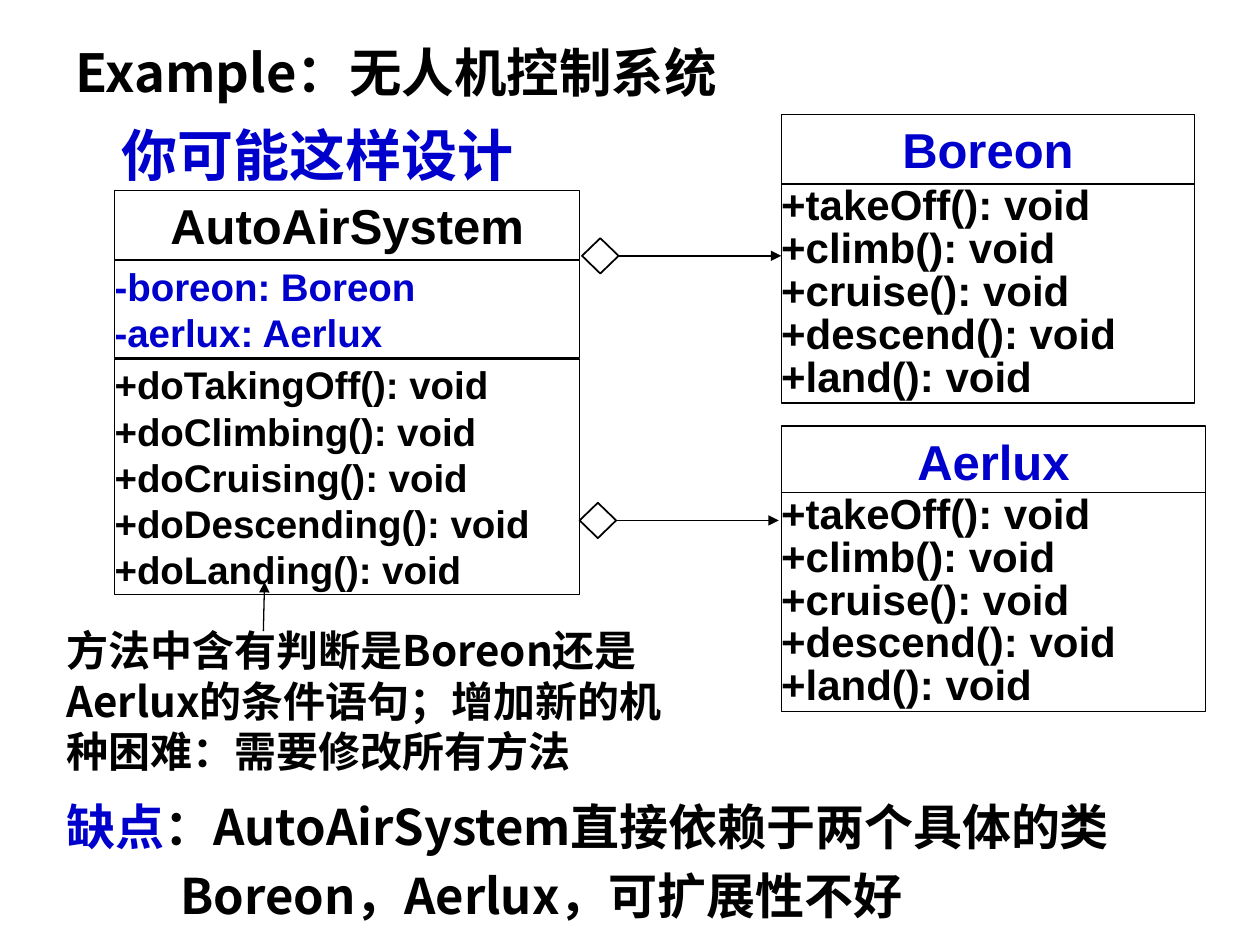
from lxml import etree
from pptx import Presentation
from pptx.dml.color import RGBColor
from pptx.enum.shapes import MSO_CONNECTOR, MSO_SHAPE
from pptx.enum.text import MSO_ANCHOR, PP_ALIGN
from pptx.oxml.ns import qn
from pptx.util import Pt

LEFT, CENTER, JUSTIFY = PP_ALIGN.LEFT, PP_ALIGN.CENTER, PP_ALIGN.JUSTIFY
TOP, MIDDLE = MSO_ANCHOR.TOP, MSO_ANCHOR.MIDDLE
RECTANGLE, DIAMOND = MSO_SHAPE.RECTANGLE, MSO_SHAPE.DIAMOND
STRAIGHT = MSO_CONNECTOR.STRAIGHT

THEME = {
    "black": RGBColor(0, 0, 0),
    "blue": RGBColor(0, 0, 0xCC),
    "white": RGBColor(255, 255, 255),
    "latin": "Arial",
    "chinese": "Noto Sans CJK SC",
    "title": 30, "subtitle": 32, "class": 28, "method": 24,
    "member": 22, "note": 24, "drawback": 28,
    "chinese_spacing": 1.2, "thin": 0.75, "medium": 1,
}

FLIGHT_METHODS = ["+takeOff(): void", "+climb(): void", "+cruise(): void",
                  "+descend(): void", "+land(): void"]
SYSTEM_FIELDS = ["-boreon: Boreon", "-aerlux: Aerlux"]
SYSTEM_METHODS = ["+doTakingOff(): void", "+doClimbing(): void", "+doCruising(): void",
                  "+doDescending(): void", "+doLanding(): void"]

# name, name colour, left, top, width, [(lines, size, colour, spacing, top, height)]
CLASSES = [
    ("Boreon", "blue", 446.4, 65.5, 236.2,
     [(FLIGHT_METHODS, "method", "black", 0.85, 105.1, 125.3)]),
    ("Aerlux", "blue", 446.4, 243.4, 242.6,
     [(FLIGHT_METHODS, "method", "black", 0.85, 281.5, 125.3)]),
    ("AutoAirSystem", "black", 65.5, 108.7, 265.7,
     [(SYSTEM_FIELDS, "member", "blue", 1, 149, 55.4),
      (SYSTEM_METHODS, "member", "black", 1, 205.2, 134.6)]),
]
NAME_HEIGHT = 39.6

# diamond left, line end, centre height
AGGREGATIONS = [(332.6, 446.4, 146.2), (331.2, 445, 297.4)]
DIAMOND_SIZE = (20.9, 20.2)
NOTE_ARROW = (150.5, 360.7, 151.2, 332.6)

# bounds, size, alignment, anchor, [(indent, space before, [(text, colour)])]
TEXTS = [
    ((36, 21.6, 397.4, 38.2), "title", LEFT, MIDDLE,
     [(0, 0, [("Example：无人机控制系统", "black")])]),
    ((48.2, 65.5, 266.4, 46.1), "subtitle", CENTER, TOP,
     [(0, 0, [("你可能这样设计", "blue")])]),
    ((31, 353.5, 362.9, 93.6), "note", LEFT, TOP,
     [(0, 0, [("方法中含有判断是Boreon还是Aerlux的条件语句；"
               "增加新的机种困难：需要修改所有方法", "black")])]),
    ((31, 451.4, 663.1, 80.6), "drawback", LEFT, TOP,
     [(0, 0, [("缺点", "blue"), ("：AutoAirSystem直接依赖于两个具体的类", "black")]),
      (65, 6, [("Boreon，Aerlux，可扩展性不好", "black")])]),
]


def set_frame(frame, anchor, side, vertical):
    """Set the wrapping, anchor and margins of a text frame."""
    frame.word_wrap = True
    frame.vertical_anchor = anchor
    frame.margin_left = frame.margin_right = Pt(side)
    frame.margin_top = frame.margin_bottom = Pt(vertical)


def style_span(span, font, size, color):
    """Give a run its typeface, size and colour."""
    span.font.name = font
    span.font.size = Pt(THEME[size])
    span.font.bold = True
    span.font.color.rgb = THEME[color]
    latin = span.font._element.find(qn("a:latin"))
    east_asian = etree.Element(qn("a:ea"), typeface=font)
    latin.addnext(east_asian)


def add_outline(page, kind, bounds, weight):
    """Add a white shape with a black outline."""
    box = page.shapes.add_shape(kind, *map(Pt, bounds))
    box.shadow.inherit = False
    box.fill.solid()
    box.fill.fore_color.rgb = THEME["white"]
    box.line.color.rgb = THEME["black"]
    box.line.width = Pt(THEME[weight])
    return box


def add_compartment(page, bounds, lines, size, color, alignment, spacing, margin):
    """Add one compartment of a class box."""
    frame = add_outline(page, RECTANGLE, bounds, "thin").text_frame
    set_frame(frame, MIDDLE, 0, margin)
    frame.text = "\n".join(lines)
    for para in frame.paragraphs:
        para.alignment = alignment
        para.line_spacing = spacing
        style_span(para.runs[0], THEME["latin"], size, color)


def add_class(page, name, color, left, top, width, compartments):
    """Add a class box with its name and compartments."""
    add_compartment(page, (left, top, width, NAME_HEIGHT), [name], "class", color, CENTER, 1, 2.9)
    for lines, size, text_color, spacing, start, height in compartments:
        add_compartment(page, (left, start, width, height), lines, size, text_color,
                        JUSTIFY, spacing, 1.4)


def add_arrow(page, points, weight):
    """Add a straight line that ends in a triangle."""
    arrow = page.shapes.add_connector(STRAIGHT, *map(Pt, points))
    arrow.line.color.rgb = THEME["black"]
    arrow.line.width = Pt(THEME[weight])
    etree.SubElement(arrow.line._get_or_add_ln(), qn("a:tailEnd"), type="triangle")
    etree.SubElement(arrow._element.spPr, qn("a:effectLst"))


def add_text(page, bounds, size, alignment, anchor, paragraphs):
    """Add a text box of Chinese paragraphs."""
    frame = page.shapes.add_textbox(*map(Pt, bounds)).text_frame
    set_frame(frame, anchor, 7.2, 0.7 if anchor == MIDDLE else 3.6)
    for index, (indent, before, spans) in enumerate(paragraphs):
        para = frame.add_paragraph() if index else frame.paragraphs[0]
        para.alignment = alignment
        para.line_spacing = Pt(round(THEME[size] * THEME["chinese_spacing"], 1))
        if before:
            para.space_before = Pt(before)
        if indent:
            para._p.get_or_add_pPr().set("marL", str(Pt(indent)))
        for text, color in spans:
            span = para.add_run()
            span.text = text
            style_span(span, THEME["chinese"], size, color)


def main():
    """Build the class diagram slide."""
    deck = Presentation()
    deck.slide_width, deck.slide_height = Pt(720), Pt(540)
    page = deck.slides.add_slide(deck.slide_layouts[6])
    for item in CLASSES:
        add_class(page, *item)
    width, height = DIAMOND_SIZE
    for left, end, middle in AGGREGATIONS:
        add_arrow(page, (left + 2, middle, end, middle), "medium")
        add_outline(page, DIAMOND, (left, middle - height / 2, width, height), "medium")
    for item in TEXTS:
        add_text(page, *item)
    add_arrow(page, NOTE_ARROW, "thin")
    deck.save("out.pptx")


if __name__ == "__main__":
    main()
